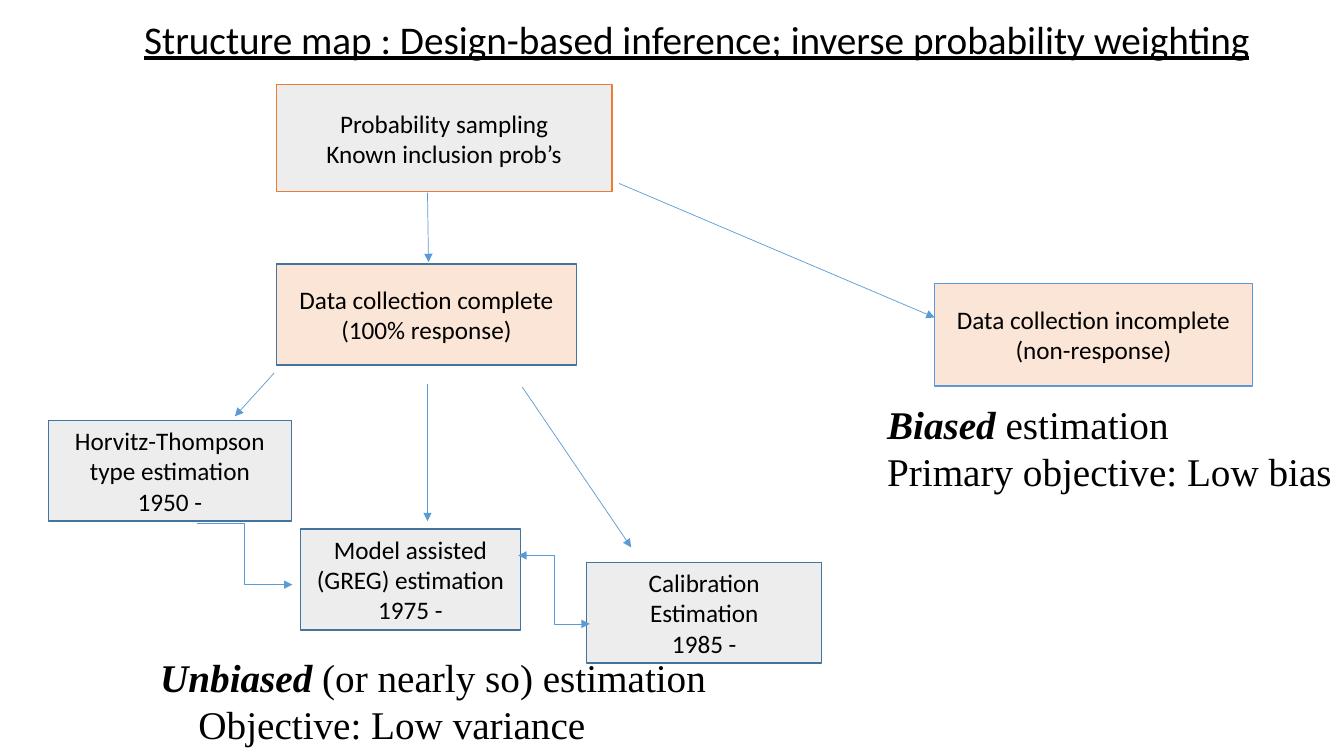
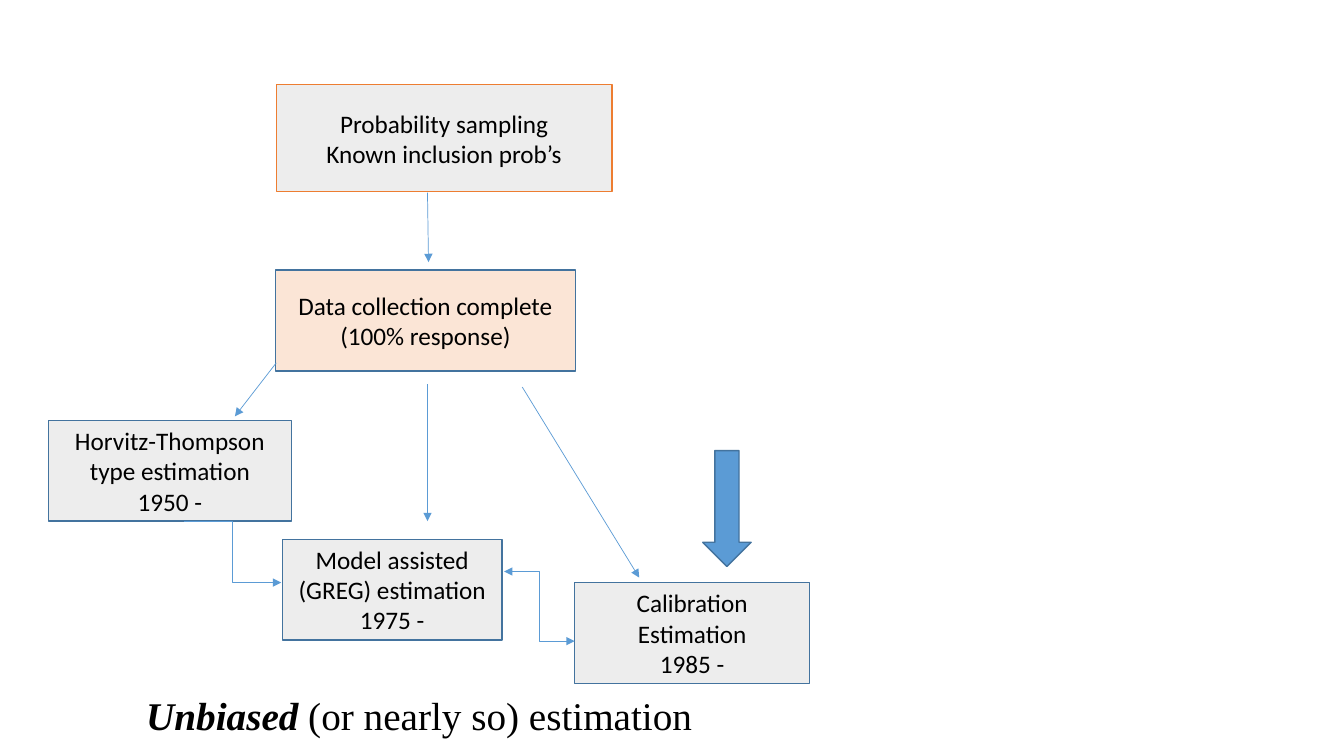
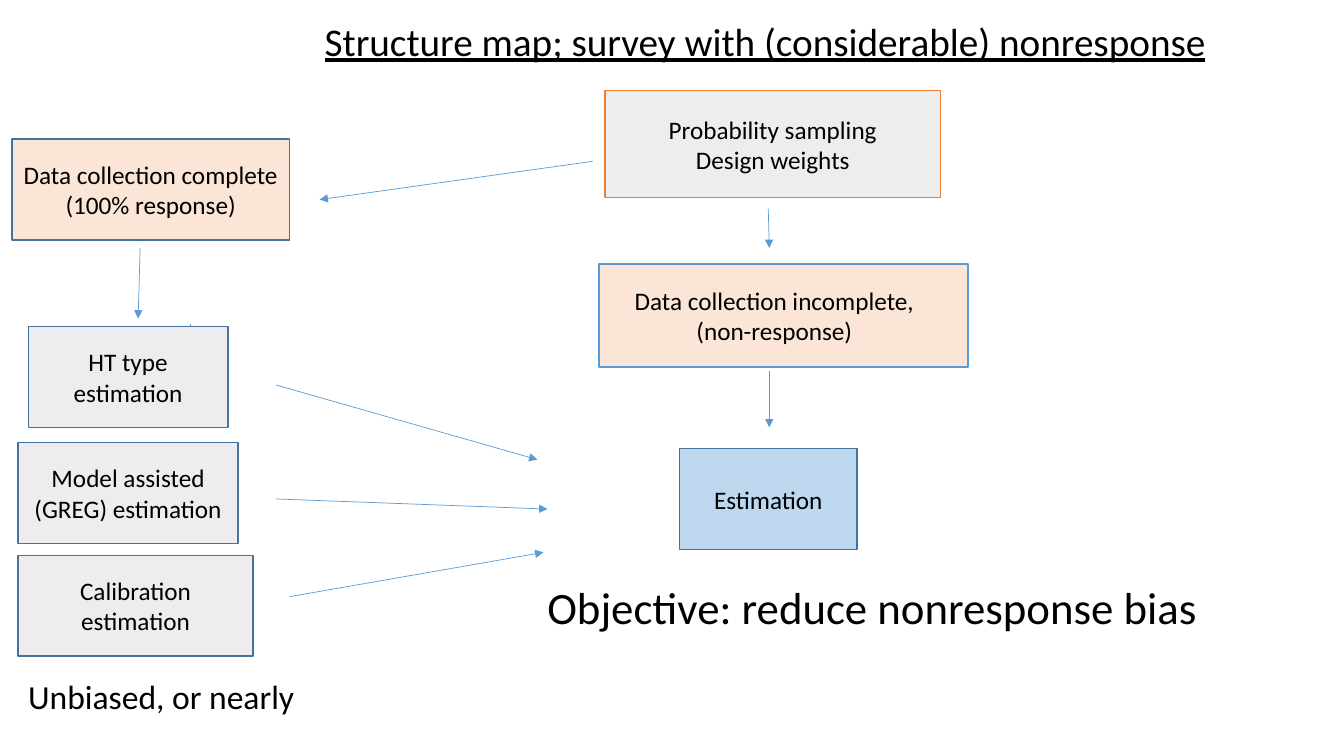
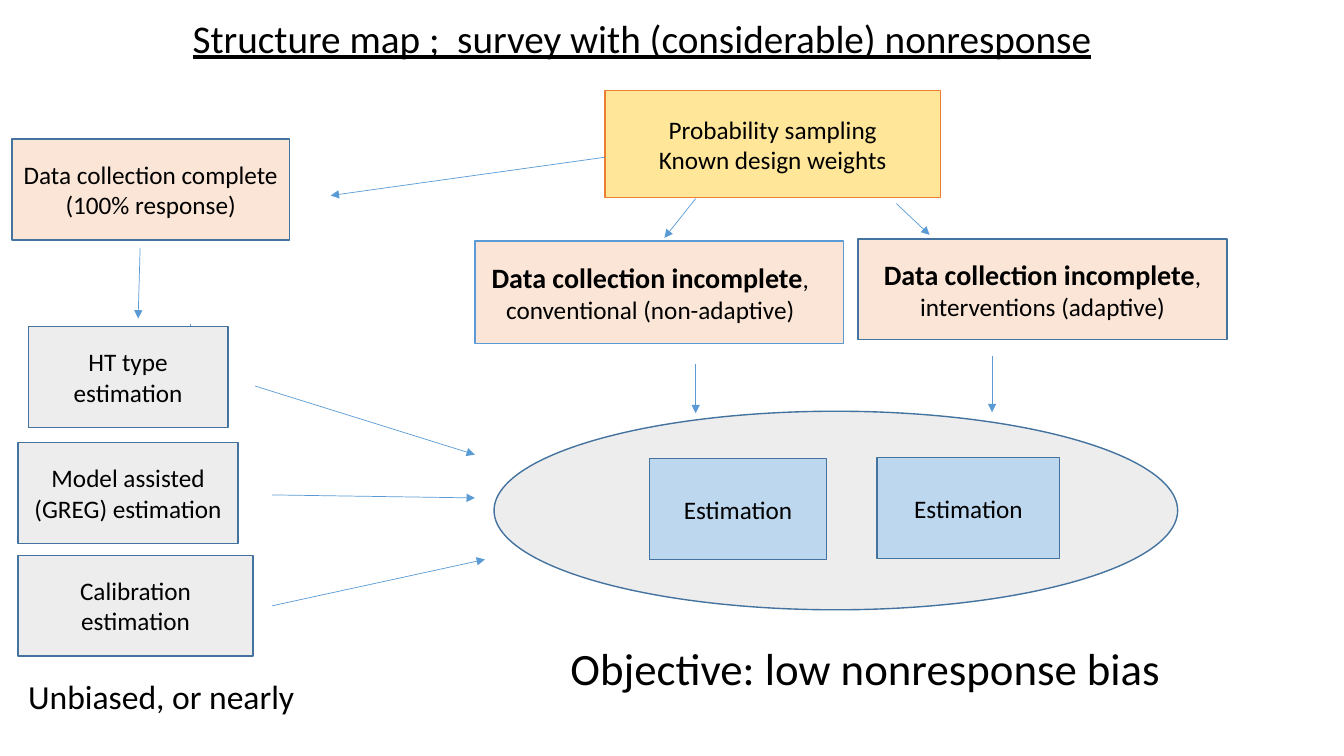
from lxml import etree
from pptx import Presentation
from pptx.dml.color import RGBColor
from pptx.enum.shapes import MSO_CONNECTOR as CONN, MSO_SHAPE as SHAPE
from pptx.enum.text import MSO_ANCHOR as ANCHOR, MSO_AUTO_SIZE as AUTO, PP_ALIGN as ALIGN
from pptx.oxml.ns import qn
from pptx.util import Inches, Pt

# Shared style
SANS, SERIF = "Calibri", "Times New Roman"
BLACK, BLUE, DARK_BLUE, ORANGE = "000000", "5B9BD5", "43739E", "ED7D31"
GREY, PEACH, PALE_BLUE, YELLOW = "EDEDED", "FBE5D6", "BDD7EE", "FFE699"


def rgb(color):
    return RGBColor.from_string(color)


def inches(lengths):
    return [Inches(v) for v in lengths]


class Deck:
    def __init__(self):
        self.prs = Presentation()
        self.prs.slide_width, self.prs.slide_height = inches((13.33, 7.5))
        self.s = None

    def new_slide(self):
        self.s = self.prs.slides.add_slide(self.prs.slide_layouts[5])

    def set_text(self, sp, paras, size=18, font=SANS, align=ALIGN.LEFT, anchor=ANCHOR.MIDDLE,
                 underline=None, lead_size=None, lead_italic=None):
        """A paragraph is a string, or a pair of a bold lead and the rest."""
        tf = sp.text_frame
        tf.word_wrap, tf.auto_size, tf.vertical_anchor = True, AUTO.NONE, anchor
        for i, para in enumerate(paras):
            p = tf.paragraphs[0] if i == 0 else tf.add_paragraph()
            p.alignment = align
            has_lead = isinstance(para, tuple)
            p.text = para[0] if has_lead else para
            if has_lead:
                p.add_run().text = para[1]
            for j, r in enumerate(p.runs):
                lead = has_lead and j == 0
                f = r.font
                f.name, f.size = font, Pt(lead_size if lead and lead_size else size)
                f.color.rgb, f.underline = rgb(BLACK), underline
                f.bold, f.italic = lead, lead_italic if lead else None

    def indent(self, sp, index, **margins):
        pPr = sp.text_frame.paragraphs[index]._p.get_or_add_pPr()
        for name, value in margins.items():
            pPr.set(name, str(Inches(value)))

    def title(self, at, *paras, **style):
        sp = self.s.shapes.title
        sp.left, sp.top, sp.width, sp.height = inches(at)
        self.set_text(sp, paras, **style)

    def heading(self, at, text):
        self.title(at, text, size=28, underline=True, anchor=ANCHOR.TOP)

    def note(self, at, *paras, **style):
        sp = self.s.shapes.add_textbox(*inches(at))
        self.set_text(sp, paras, **style)
        return sp

    def box(self, at, *paras, fill=GREY, line=DARK_BLUE, shape=SHAPE.RECTANGLE, **style):
        sp = self.s.shapes.add_shape(shape, *inches(at))
        sp.shadow.inherit = False
        sp.fill.solid()
        sp.fill.fore_color.rgb = rgb(fill)
        sp.line.color.rgb, sp.line.width = rgb(line), Pt(1)
        self.set_text(sp, paras, align=ALIGN.CENTER, **style)
        return sp

    def arrow(self, *ends, kind=CONN.STRAIGHT, both=False):
        c = self.s.shapes.add_connector(kind, *inches(ends))
        c.line.color.rgb, c.line.width = rgb(BLUE), Pt(0.5)
        spPr = c._element.spPr
        ln = spPr.find(qn("a:ln"))
        for tag in ("a:headEnd", "a:tailEnd") if both else ("a:tailEnd",):
            etree.SubElement(ln, qn(tag)).set("type", "triangle")
        etree.SubElement(spPr, qn("a:effectLst"))


UNBIASED = ("Unbiased", " (or nearly so) estimation")
CAPTION = dict(size=28, font=SERIF, lead_italic=True)
COMPLETE = ("Data collection complete", "(100% response)")
GREG = ("Model assisted", "(GREG) estimation")


def design_tree(d, complete, greg, calibration, to_ht, to_calibration, ht_greg, greg_calibration):
    """Full-response tree; places are (left, top), arrows are (x1, y1, x2, y2)."""
    d.box((2.74, 0.84, 3.33, 1.06), "Probability sampling", "Known inclusion prob’s", line=ORANGE)
    d.box((*calibration, 2.33, 1), "Calibration", "Estimation", "1985 -")
    d.box((*complete, 2.98, 1), *COMPLETE, fill=PEACH)
    d.box((*greg, 2.18, 1), *GREG, "1975 -")
    for ends in ((4.24, 1.91, 4.25, 2.6), (4.24, 3.81, 4.24, 5.17), to_calibration, to_ht):
        d.arrow(*ends)
    d.box((0.48, 4.17, 2.41, 1), "Horvitz-Thompson", "type estimation", "1950 -")
    d.arrow(*ht_greg, kind=CONN.ELBOW)
    d.arrow(*greg_calibration, kind=CONN.ELBOW, both=True)


def nonresponse_map(d, fill, weights, arrows):
    """Sampling box, the full-response column at the left, and the arrows."""
    d.box((6, 0.9, 3.33, 1.06), "Probability sampling", weights, fill=fill, line=ORANGE)
    d.box((0.12, 1.38, 2.75, 1), *COMPLETE, fill=PEACH)
    for ends in ((1.89, 3.21, 1.89, 3.68), (1.39, 2.46, 1.37, 3.16), *arrows):
        d.arrow(*ends)
    d.box((0.28, 3.24, 1.98, 1), "HT type", "estimation")
    d.box((0.18, 4.39, 2.18, 1), *GREG)
    d.box((0.18, 5.51, 2.33, 1), "Calibration", "estimation")
    d.note((0.18, 6.68, 3.78, 0.46), "Unbiased, or nearly", size=24)


def main():
    d = Deck()

    # Slide 1: design-based inference
    d.new_slide()
    d.heading((1.33, 0.1, 11.29, 0.57),
              "Structure map : Design-based inference; inverse probability weighting")
    design_tree(d, complete=(2.74, 2.62), greg=(2.98, 5.25), calibration=(5.82, 5.58),
                to_ht=(2.72, 3.7, 2.33, 4.13), to_calibration=(5.18, 3.84, 6.26, 5.43),
                ht_greg=(1.95, 5.19, 2.9, 5.8), greg_calibration=(5.14, 5.51, 5.85, 6.19))
    d.box((9.27, 2.81, 3.15, 1.02), "Data collection incomplete", "(non-response)",
          fill=PEACH, line=BLUE)
    d.arrow(6.14, 1.82, 9.27, 3.15)
    d.note((8.7, 3.92, 4.63, 1.04), ("Biased", " estimation"),
           "Primary objective: Low bias", anchor=ANCHOR.TOP, **CAPTION)
    sp = d.note((1.49, 6.53, 6.46, 0.84), UNBIASED, "Objective: Low variance", **CAPTION)
    d.indent(sp, 1, marL=0.38)

    # Slide 2: focus on calibration
    d.new_slide()
    d.title((1.35, 6.8, 7.26, 0.58), UNBIASED, **CAPTION)
    design_tree(d, complete=(2.73, 2.68), greg=(2.8, 5.35), calibration=(5.7, 5.78),
                to_ht=(2.74, 3.6, 2.33, 4.13), to_calibration=(5.18, 3.84, 6.34, 5.73),
                ht_greg=(1.83, 5.17, 2.79, 5.78), greg_calibration=(5, 5.67, 5.7, 6.36))
    d.box((6.97, 4.47, 0.48, 1.15), fill=BLUE, shape=SHAPE.DOWN_ARROW)

    # Slide 3: survey with nonresponse
    d.new_slide()
    d.heading((3.12, 0.12, 9.04, 0.57), "Structure map; survey with (considerable) nonresponse")
    nonresponse_map(d, GREY, "Design weights", (
        (5.88, 1.6, 3.17, 1.98), (7.62, 2.07, 7.63, 2.46), (7.63, 3.68, 7.63, 4.24),
        (2.74, 3.82, 5.33, 4.56), (2.74, 4.95, 5.43, 5.05), (2.87, 5.92, 5.39, 5.48)))
    sp = d.box((5.94, 2.62, 3.66, 1.02), "Data collection incomplete,", "(non-response)",
               fill=PEACH, line=BLUE)
    d.indent(sp, 0, marR=0.18)
    d.box((6.74, 4.45, 1.76, 1), "Estimation", fill=PALE_BLUE)
    d.note((5.33, 5.7, 6.95, 0.64), "Objective: reduce nonresponse bias", size=32)

    # Slide 4: conventional and adaptive data collection
    d.new_slide()
    d.heading((1.81, 0.09, 9.22, 0.57), "Structure map ;  survey with (considerable) nonresponse")
    nonresponse_map(d, YELLOW, "Known design weights", (
        (6, 1.56, 3.28, 1.94), (6.9, 1.97, 6.59, 2.36), (8.89, 2.02, 9.22, 2.33),
        (2.53, 3.83, 4.71, 4.51), (2.7, 4.91, 4.71, 4.94), (2.7, 6.01, 4.81, 5.55)))
    incomplete = ("Data collection incomplete", ",")
    sp = d.box((4.71, 2.39, 3.66, 1.02), incomplete, "conventional (non-adaptive)",
               fill=PEACH, line=BLUE, lead_size=20)
    d.indent(sp, 0, marR=0.18)
    d.box((8.51, 2.37, 3.66, 1), incomplete, "interventions (adaptive)", fill=PEACH, lead_size=20)
    d.box((4.9, 4.08, 6.78, 1.97), shape=SHAPE.OVAL)
    for at in ((6.44, 4.55, 1.76, 1), (8.7, 4.54, 1.81, 1)):
        d.box(at, "Estimation", fill=PALE_BLUE)
    d.arrow(6.9, 3.61, 6.9, 4.1)
    d.arrow(9.84, 3.53, 9.84, 4.09)
    d.note((5.56, 6.3, 6.11, 0.64), "Objective: low nonresponse bias", size=32)

    d.prs.save("out.pptx")


if __name__ == "__main__":
    main()
